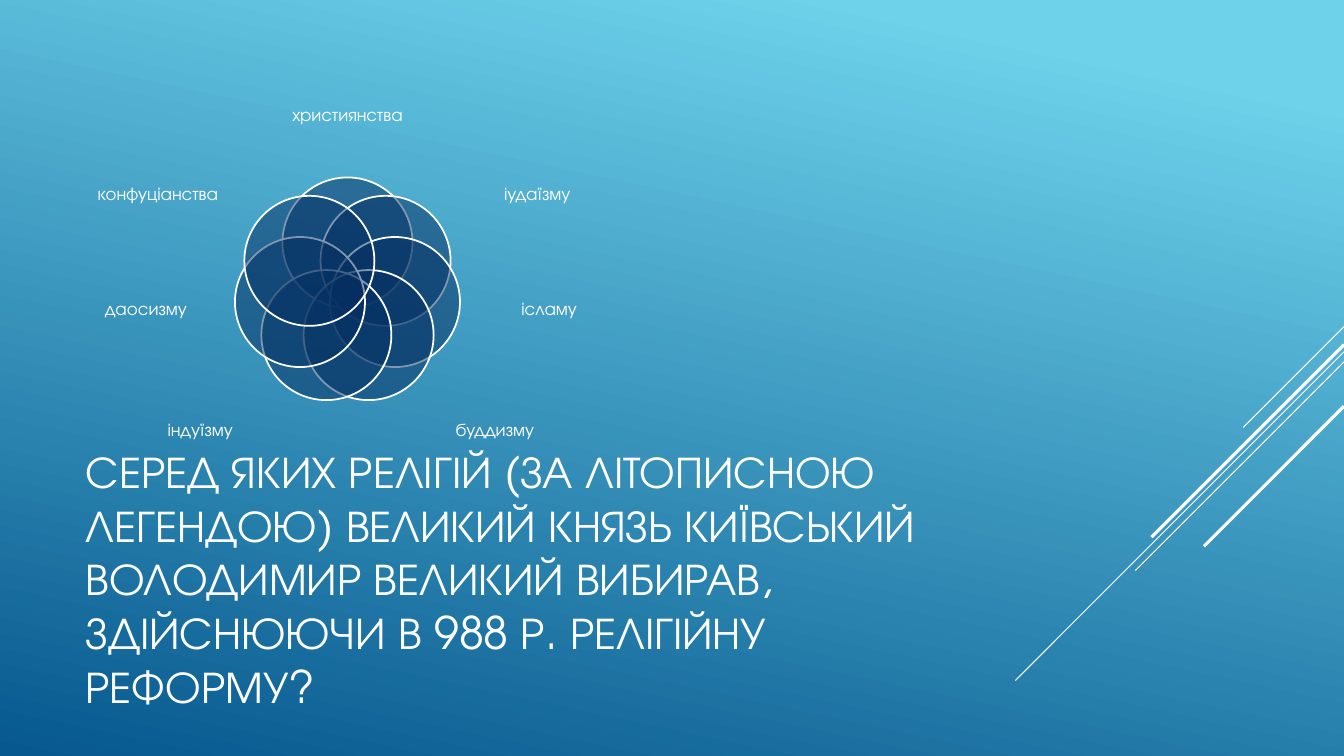
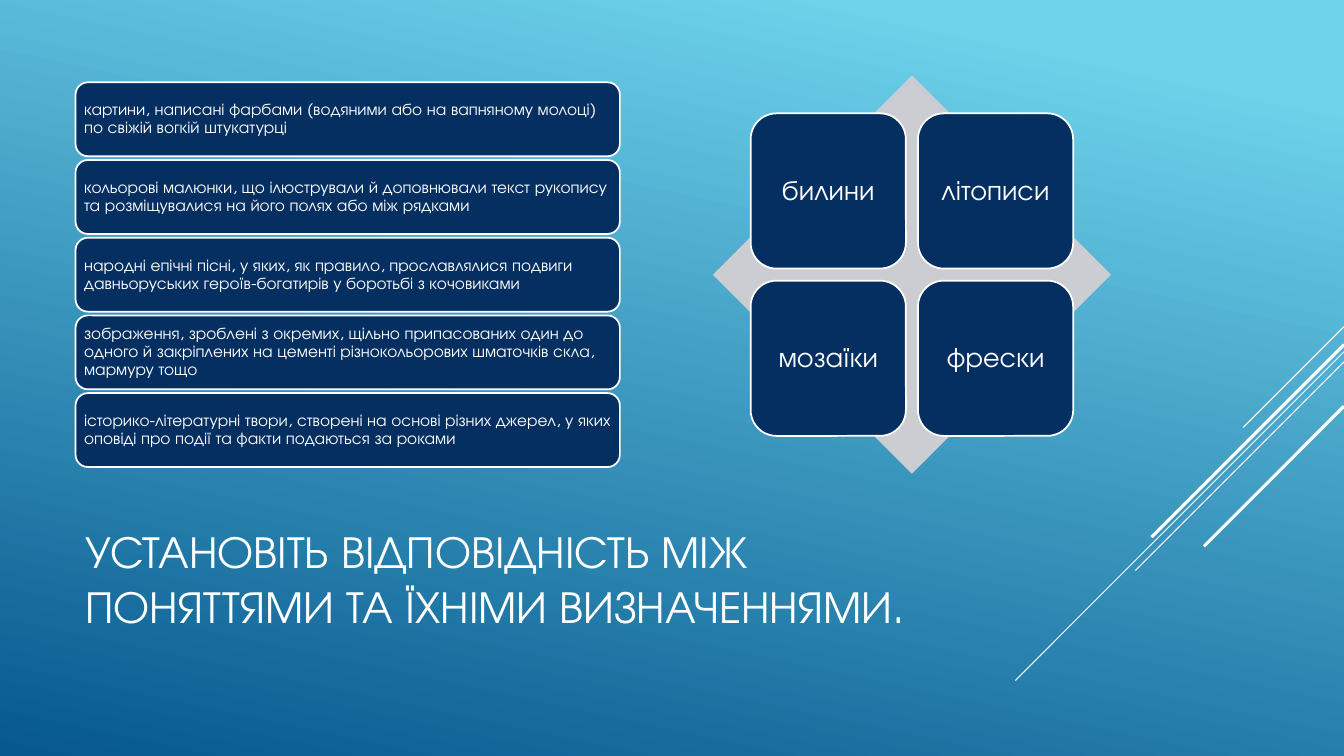
from dataclasses import dataclass
from math import cos, pi, sin

from pptx import Presentation
from pptx.dml.color import RGBColor
from pptx.enum.shapes import MSO_CONNECTOR, MSO_SHAPE
from pptx.enum.text import MSO_ANCHOR, MSO_AUTO_SIZE, PP_ALIGN
from pptx.oxml.ns import qn
from pptx.util import Pt
from lxml.etree import SubElement


@dataclass(frozen=True)
class Theme:
    white: RGBColor = RGBColor(0xFF, 0xFF, 0xFF)
    navy: RGBColor = RGBColor(0x05, 0x2F, 0x61)
    grey: RGBColor = RGBColor(0xCC, 0xCD, 0xD2)
    sky: RGBColor = RGBColor(0x6E, 0xD2, 0xEB)
    deep: RGBColor = RGBColor(0x06, 0x58, 0x8E)
    font: str = "TeX Gyre Adventor"
    title: float = 32
    tile: float = 20
    label: float = 13
    card: float = 12
    outline: float = 1.25


T = Theme()
WIDTH, HEIGHT = 960, 540


def write(sp, text, size, align=PP_ALIGN.LEFT, spacing=0.9, inset=0):
    """Put one formatted paragraph into a shape."""
    tf = sp.text_frame
    p = tf.paragraphs[0]
    r = p.add_run()
    r.text = text
    r.font.color.rgb = T.white
    margins = {f"margin_{side}": Pt(inset) for side in ("left", "top", "right", "bottom")}
    formats = [
        (tf, {"word_wrap": True, "auto_size": MSO_AUTO_SIZE.NONE,
              "vertical_anchor": MSO_ANCHOR.MIDDLE, **margins}),
        (p, {"alignment": align, "line_spacing": spacing}),
        (r.font, {"name": T.font, "size": Pt(size)}),
    ]
    for target, values in formats:
        for name, value in values.items():
            setattr(target, name, value)


def add_box(s, kind, left, top, width, height, color=T.navy, outlined=True):
    """Add a filled preset shape, with a white outline if wanted."""
    sp = s.shapes.add_shape(kind, Pt(left), Pt(top), Pt(width), Pt(height))
    sp.shadow.inherit = False
    sp.fill.solid()
    sp.fill.fore_color.rgb = color
    if outlined:
        sp.line.color.rgb = T.white
        sp.line.width = Pt(T.outline)
    else:
        sp.line.fill.background()
    return sp


prs = Presentation()
prs.slide_width, prs.slide_height = Pt(WIDTH), Pt(HEIGHT)
layout = prs.slide_layouts[5]

# Shared background
fill = layout.background.fill
fill.gradient()
fill.gradient_angle = 258
for stop, color, position in zip(fill.gradient_stops, (T.sky, T.deep), (0.1, 1)):
    stop.color.rgb = color
    stop.position = position

# Slides and their titles
titles = [
    ("СЕРЕД ЯКИХ РЕЛІГІЙ (ЗА ЛІТОПИСНОЮ ЛЕГЕНДОЮ) ВЕЛИКИЙ КНЯЗЬ КИЇВСЬКИЙ "
     "ВОЛОДИМИР ВЕЛИКИЙ ВИБИРАВ, ЗДІЙСНЮЮЧИ В 988 Р. РЕЛІГІЙНУ РЕФОРМУ?", T.title),
    ("УСТАНОВІТЬ ВІДПОВІДНІСТЬ МІЖ ПОНЯТТЯМИ ТА ЇХНІМИ ВИЗНАЧЕННЯМИ.", T.title + 0.4),
]
title_place = {"left": Pt(54), "top": Pt(353.5), "width": Pt(672), "height": Pt(118.8)}
for text, size in titles:
    s = prs.slides.add_slide(layout)
    for name, value in title_place.items():
        setattr(s.shapes.title, name, value)
    write(s.shapes.title, text, size, spacing=1.0, inset=7.2)
religions, terms = prs.slides

# Shared diagonal lines, kept on the layout: start height, run, weight
diagonals = [(233.3, 72, 0.75), (251.3, 234.7, 0.75), (258.5, 149, 0.75),
             (246.2, 137.5, 2.25), (290.2, 100, 2.25)]
for i, (top, run, weight) in enumerate(diagonals):
    line = religions.shapes.add_connector(
        MSO_CONNECTOR.STRAIGHT, Pt(WIDTH), Pt(top), Pt(WIDTH - run), Pt(top + run))
    line.line.color.rgb = T.white
    line.line.width = Pt(weight)
    SubElement(line.element.spPr, qn("a:effectLst"))
    line.element.nvCxnSpPr.cNvPr.set("id", str(100 + i))
    layout.shapes.element.append(line.element)

# Slide 1: ring of overlapping circles, clockwise from the top
ring_x, ring_y, radius, diameter = 248.2, 208, 34.8, 92.9
# Name, label offset from the ring's axis, top, width, height
labels = [
    ("християнства", 0, 54, 106.6, 57),
    ("іудаїзму", 135.5, 108, 101, 62.6),
    ("ісламу", 144, 188, 98.6, 67),
    ("буддизму", 105.2, 277.2, 106.6, 61.2),
    ("індуїзму", -105.2, 277.2, 106.6, 61.2),
    ("даосизму", -144, 188, 98.6, 67),
    ("конфуціанства", -135.5, 108, 101, 62.6),
]
for i, (text, offset, top, width, height) in enumerate(labels):
    angle = 2 * pi * i / len(labels)
    x = ring_x + radius * sin(angle) - diameter / 2
    y = ring_y - radius * cos(angle) - diameter / 2
    circle = add_box(religions, MSO_SHAPE.OVAL, x, y, diameter, diameter)
    color = circle.element.spPr.find(qn("a:solidFill"))[0]
    SubElement(color, qn("a:alpha"), val="50000")
    label = religions.shapes.add_textbox(
        Pt(ring_x + offset - width / 2), Pt(top), Pt(width), Pt(height))
    write(label, text, T.label, PP_ALIGN.CENTER)

# Slide 2: definition cards
definitions = [
    "картини, написані фарбами (водяними або на вапняному молоці) по свіжій вогкій штукатурці",
    "кольорові малюнки, що ілюстрували й доповнювали текст рукопису та розміщувалися "
    "на його полях або між рядками",
    "народні епічні пісні, у яких, як правило, прославлялися подвиги давньоруських "
    "героїв-богатирів у боротьбі з кочовиками",
    "зображення, зроблені з окремих, щільно припасованих один до одного й закріплених "
    "на цементі різнокольорових шматочків скла, мармуру тощо",
    "історико-літературні твори, створені на основі різних джерел, у яких оповіді "
    "про події та факти подаються за роками",
]
for i, text in enumerate(definitions):
    card = add_box(terms, MSO_SHAPE.ROUNDED_RECTANGLE, 54, 58.8 + 55.5 * i, 388.8, 52.8)
    write(card, text, T.card, inset=3.6)

# Slide 2: diamond with a two-by-two grid of terms centred on it
left, top, side = 509.2, 54, 284.4
tile, gap = 110.9, 8.6
add_box(terms, MSO_SHAPE.DIAMOND, left, top, side, side, T.grey, outlined=False)
margin = (side - 2 * tile - gap) / 2
for i, text in enumerate(["билини", "літописи", "мозаїки", "фрески"]):
    row, col = divmod(i, 2)
    sp = add_box(terms, MSO_SHAPE.ROUNDED_RECTANGLE,
                 left + margin + col * (tile + gap), top + margin + row * (tile + gap),
                 tile, tile)
    write(sp, text, T.tile, PP_ALIGN.CENTER, inset=5.5)

prs.save("out.pptx")
